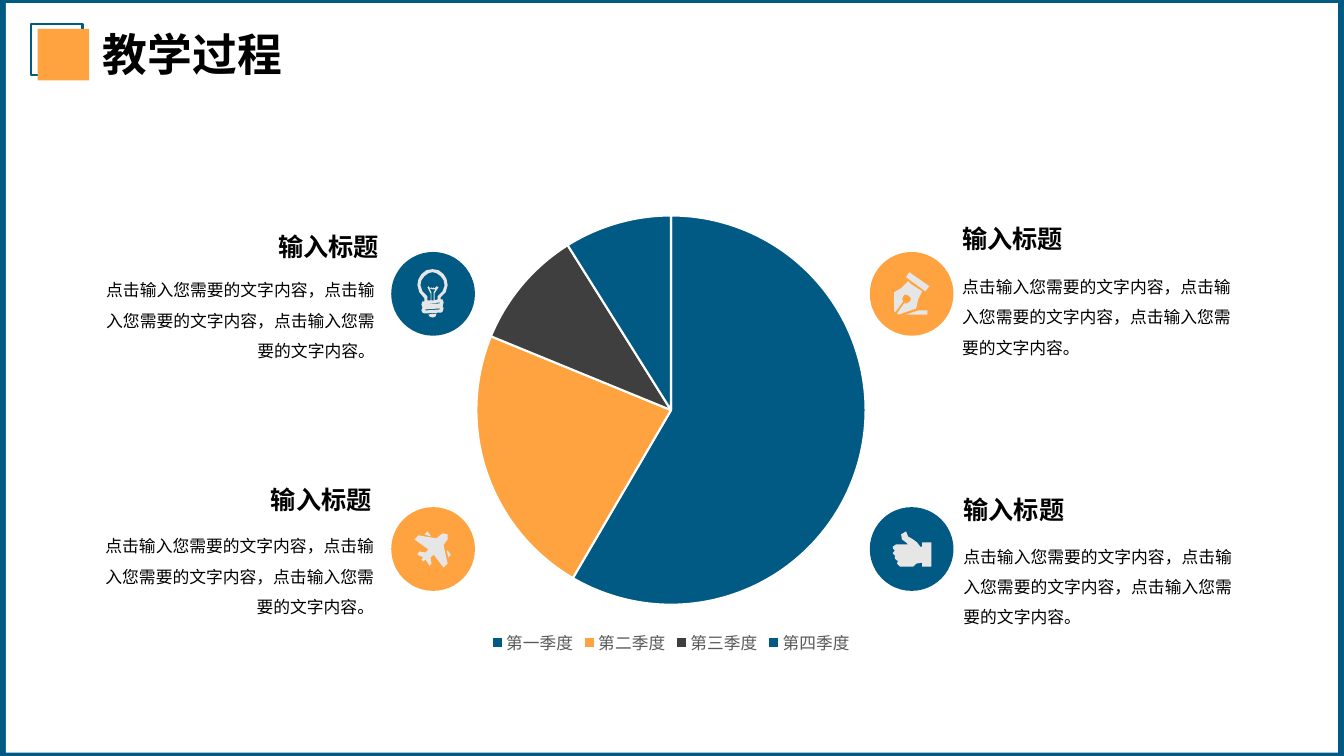
from pptx import Presentation
from pptx.chart.data import CategoryChartData
from pptx.dml.color import RGBColor
from pptx.enum.chart import XL_CHART_TYPE, XL_LEGEND_POSITION
from pptx.enum.shapes import MSO_SHAPE
from pptx.enum.text import MSO_AUTO_SIZE, PP_ALIGN
from pptx.util import Cm, Pt

RECT, OVAL = MSO_SHAPE.RECTANGLE, MSO_SHAPE.OVAL
PIE, BOTTOM = XL_CHART_TYPE.PIE, XL_LEGEND_POSITION.BOTTOM
LEFT, RIGHT = PP_ALIGN.LEFT, PP_ALIGN.RIGHT
GROW = MSO_AUTO_SIZE.SHAPE_TO_FIT_TEXT

BLUE, ORANGE, DARK = "005A84", "FFA340", "3F3F3F"
WHITE, BLACK, PALE, GREY = "FFFFFF", "000000", "E7E6E6", "595959"

THUMB = [
    [(36, 24), (31, 27), (32, 32), (36, 35), (38, 37), (26, 37), (23, 39), (23, 41),
     (25, 43), (23, 45), (23, 46), (25, 48), (25, 51), (27, 53), (28, 53), (27, 56),
     (30, 59), (43, 59), (46, 56), (52, 55), (52, 59), (61, 59), (61, 35), (52, 35),
     (52, 39), (50, 39), (47, 35), (43, 32), (38, 29)],
]
PLANE = [
    [(56, 27), (56, 32), (53, 36), (52, 38), (56, 56), (52, 60), (42, 47), (39, 50),
     (40, 56), (38, 58), (34, 52), (32, 54), (30, 52), (32, 50), (26, 47), (28, 44),
     (34, 45), (37, 42), (23, 32), (27, 28), (45, 31), (46, 30), (51, 26)],
    [(59, 47), (56, 43), (55, 44), (57, 50)],
    [(36, 24), (33, 27), (39, 29), (39, 28)],
]
PEN = [
    [(25, 60), (24, 58), (24, 40), (31, 36), (38, 29), (41, 32), (52, 39), (48, 47),
     (46, 56), (29, 62), (27, 61), (34, 51), (37, 51), (40, 49), (41, 46), (38, 43),
     (35, 42), (33, 44), (32, 47), (33, 49)],
    [(36, 62), (57, 62), (57, 58), (48, 58)],
    [(55, 39), (59, 34), (39, 20), (36, 25)],
]
BULB = [
    [(41, 17), (47, 18), (52, 22), (55, 27), (56, 33), (54, 40), (49, 45), (49, 47),
     (51, 47), (52, 50), (51, 54), (52, 56), (51, 59), (50, 60), (33, 61), (31, 60),
     (30, 58), (31, 55), (30, 52), (31, 49), (33, 49), (33, 46), (28, 40), (26, 33),
     (27, 27), (30, 22), (35, 18)],
    [(38, 35), (39, 36), (40, 35), (41, 36), (42, 35), (43, 36), (45, 34), (47, 35),
     (43, 41), (43, 48), (46, 47), (46, 44), (51, 39), (53, 33), (52, 28), (49, 24),
     (45, 21), (41, 20), (37, 21), (33, 24), (30, 28), (29, 33), (31, 39), (36, 44),
     (36, 48), (39, 48), (39, 41), (36, 35), (37, 34)],
    [(44, 37), (41, 37), (38, 36), (40, 40), (40, 48), (42, 48), (42, 40)],
    [(45, 61), (37, 62), (38, 64), (41, 65), (44, 64)],
    [(48, 56), (34, 57), (34, 58), (48, 57)],
    [(48, 50), (34, 52), (34, 52.5), (48, 51)],
]

HEAD = "输入标题"
BODY = "点击输入您需要的文字内容，点击输入您需要的文字内容，点击输入您需要的文字内容。"
ITEMS = [
    (21.92, 12.78, BLUE, THUMB, LEFT, (24.03, 12.17), (24.03, 13.39, 7.6)),
    (9.86, 12.78, ORANGE, PLANE, RIGHT, (6.55, 11.94), (2.01, 13.13, 7.67)),
    (21.92, 6.35, ORANGE, PEN, LEFT, (24, 5.36), (24, 6.6, 7.65)),
    (9.86, 6.35, BLUE, BULB, RIGHT, (6.73, 5.56), (2.26, 6.68, 7.44)),
]
SHARES = {"第一季度": (59, BLUE), "第二季度": (23, ORANGE),
          "第三季度": (10, DARK), "第四季度": (9, BLUE)}


def tint(code):
    return RGBColor.from_string(code)


class Deck:
    face = "Arial"
    unit = Cm(0.0254)
    disc = 2.11

    def __init__(self):
        self.show = Presentation()
        self.show.slide_width, self.show.slide_height = Cm(33.87), Cm(19.05)
        self.page = self.show.slides.add_slide(self.show.slide_layouts[6])

    def paint(self, shape, fill=None, line=None):
        shape.shadow.inherit = False
        if fill:
            shape.fill.solid()
            shape.fill.fore_color.rgb = tint(fill)
        else:
            shape.fill.background()
        if line:
            shape.line.color.rgb = tint(line)
            shape.line.width = Pt(1.5)
        else:
            shape.line.fill.background()

    def style(self, font, size, color, bold=False):
        for key, value in {"name": self.face, "size": Pt(size), "bold": bold}.items():
            setattr(font, key, value)
        font.color.rgb = tint(color)

    def shape(self, kind, x, y, w, h, **look):
        self.paint(self.page.shapes.add_shape(kind, Cm(x), Cm(y), Cm(w), Cm(h)), **look)

    def icon(self, x, y, rings):
        pen = self.page.shapes.build_freeform(*rings[0][0], scale=self.unit)
        for ring in rings:
            pen.move_to(*ring[0])
            pen.add_line_segments(ring[1:], close=True)
        self.paint(pen.convert_to_shape(Cm(x), Cm(y)), PALE)

    def text(self, words, x, y, w, h, size, bold=False, align=LEFT, space=1, wrap=False):
        frame = self.page.shapes.add_textbox(Cm(x), Cm(y), Cm(w), Cm(h)).text_frame
        frame.word_wrap = wrap
        frame.auto_size = GROW
        para = frame.paragraphs[0]
        for key, value in {"text": words, "alignment": align, "line_spacing": space}.items():
            setattr(para, key, value)
        self.style(para.runs[0].font, size, BLACK, bold)

    def pie(self, shares, x, y, w, h):
        data = CategoryChartData()
        data.categories = list(shares)
        data.add_series("Series 1", [value for value, _ in shares.values()])
        chart = self.page.shapes.add_chart(PIE, Cm(x), Cm(y), Cm(w), Cm(h), data).chart
        self.style(chart.font, 10, BLACK)
        chart.has_title = False
        chart.has_legend = True
        chart.legend.position = BOTTOM
        chart.legend.include_in_layout = False
        self.style(chart.legend.font, 11.9, GREY)
        plot = chart.plots[0]
        plot.vary_by_categories = True
        for index, (_, color) in enumerate(shares.values()):
            part = plot.series[0].points[index].format
            part.fill.solid()
            part.fill.fore_color.rgb = tint(color)
            part.line.color.rgb = tint(WHITE)
            part.line.width = Pt(1.5)


def main():
    deck = Deck()
    deck.shape(RECT, 0, 0, 33.87, 19.05, fill=BLUE)
    deck.shape(RECT, 0.15, 0.08, 33.57, 18.89, fill=WHITE)
    deck.shape(RECT, 0.78, 0.6, 1.3, 1.3, line=BLUE)
    deck.shape(RECT, 0.95, 0.73, 1.3, 1.3, fill=ORANGE)
    deck.text("教学过程", 2.34, 0.56, 5.08, 1.62, 32, bold=True)
    for x, y, color, rings, align, head, (left, top, wide) in ITEMS:
        deck.shape(OVAL, x, y, deck.disc, deck.disc, fill=color)
        deck.icon(x, y, rings)
        deck.text(BODY, left, top, wide, 2.46, 12, align=align, space=1.5, wrap=True)
        deck.text(HEAD, *head, 3.07, 1.12, 18, bold=True, align=align, space=1.2)
    deck.pie(SHARES, 8.26, 5.08, 17.3, 11.53)
    deck.show.save("out.pptx")


if __name__ == "__main__":
    main()
